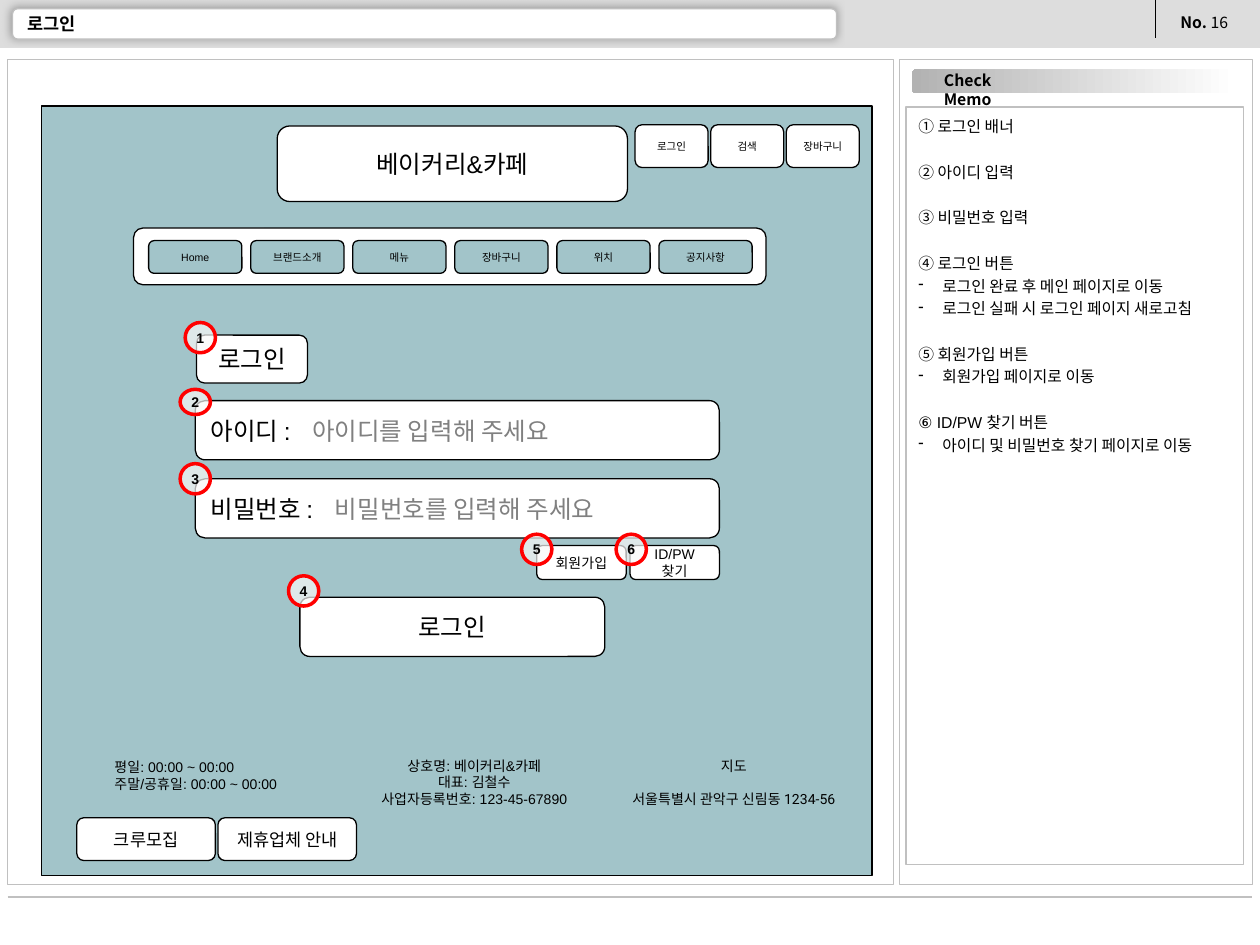
from dataclasses import dataclass

from lxml import etree
from pptx import Presentation
from pptx.dml.color import RGBColor
from pptx.enum.shapes import MSO_CONNECTOR, MSO_SHAPE as Form
from pptx.enum.text import MSO_ANCHOR as Anchor, PP_ALIGN as Align
from pptx.oxml.ns import qn
from pptx.util import Inches, Pt


@dataclass(frozen=True)
class Theme:
    white: str = "FFFFFF"
    black: str = "000000"
    header: str = "DDDDDD"
    frame: str = "C0C0C0"
    memo_tab: str = "B2B2B2"
    canvas: str = "A2C4C9"
    hint: str = "808080"
    badge: str = "F8F8F8"
    alert: str = "FF0000"
    shadow: str = "989898"
    tiny: int = 6
    small: int = 8
    note: int = 9
    body: int = 10
    large: int = 14
    font: str = "Arial"
    label_font: str = "Noto Sans CJK KR"
    address_font: str = "Roboto"


THEME = Theme()


@dataclass(frozen=True)
class Box:
    left: float
    top: float
    width: float
    height: float

    def inside(self, left, top, width, height):
        return Box(self.left + left, self.top + top, width, height)

    def lengths(self):
        return [Inches(v) for v in (self.left, self.top, self.width, self.height)]


def assign(target, values):
    for name, value in values.items():
        setattr(target, name, value)


def add_span(para, text, size, color=THEME.black, font=THEME.font, bold=False):
    span = para.add_run()
    span.text = text
    assign(span.font, {"size": Pt(size), "name": font, "bold": bold})
    span.font.color.rgb = RGBColor.from_string(color)


def write(shape, lines, size, align=Align.LEFT, anchor=Anchor.TOP, insets=(0.1, 0.05), **style):
    frame = shape.text_frame
    across, down = (Inches(v) for v in insets)
    assign(frame, {"word_wrap": True, "vertical_anchor": anchor,
                   "margin_left": across, "margin_right": across,
                   "margin_top": down, "margin_bottom": down})
    for index, line in enumerate(lines):
        para = frame.add_paragraph() if index else frame.paragraphs[0]
        para.alignment = align
        add_span(para, line, size, **style)
    return frame


def add_text(page, box, lines, size, **style):
    return write(page.shapes.add_textbox(*box.lengths()), lines, size, **style)


def add_panel(page, box, fill=THEME.white, line=THEME.black, form=Form.RECTANGLE, weight=0.75):
    shape = page.shapes.add_shape(form, *box.lengths())
    shape.shadow.inherit = False
    shape.fill.solid()
    shape.fill.fore_color.rgb = RGBColor.from_string(fill)
    if line:
        shape.line.color.rgb = RGBColor.from_string(line)
        shape.line.width = Pt(weight)
    else:
        shape.line.fill.background()
    return shape


def add_button(page, box, text, size, fill=THEME.white, align=Align.CENTER):
    shape = add_panel(page, box, fill, form=Form.ROUNDED_RECTANGLE)
    write(shape, [text], size, align, Anchor.MIDDLE, (0.1, 0.1))


def add_rule(page, start, end, color, weight):
    points = [Inches(v) for v in (*start, *end)]
    rule = page.shapes.add_connector(MSO_CONNECTOR.STRAIGHT, *points)
    rule.line.color.rgb = RGBColor.from_string(color)
    rule.line.width = Pt(weight)
    etree.SubElement(rule._element.spPr, qn("a:effectLst"))


def add_outer_shadow(shape):
    effects = shape._element.spPr.find(qn("a:effectLst"))
    shadow = etree.SubElement(effects, qn("a:outerShdw"), blurRad=str(Pt(5)),
                              dist=str(Pt(1.4)), dir=str(225 * 60000), rotWithShape="0")
    etree.SubElement(shadow, qn("a:srgbClr"), val=THEME.shadow)


def add_bullet(para, mark, indent):
    props = para._p.get_or_add_pPr()
    props.set("marL", str(Inches(indent)))
    props.set("indent", str(-Inches(indent)))
    etree.SubElement(props, qn("a:buChar"), char=mark)


def build_header(page, box):
    add_panel(page, box, THEME.header, None)
    add_rule(page, (box.left + 9.17, box.top), (box.left + 9.17, box.top + 0.3), THEME.black, 0.75)
    number = add_text(page, box.inside(9.27, 0.05, 0.62, 0.25), ["No. "], THEME.note,
                      font=THEME.label_font, bold=True)
    add_span(number.paragraphs[0], "16", THEME.note, font=THEME.label_font)
    bar = add_panel(page, box.inside(0.1, 0.07, 6.54, 0.24), line=THEME.frame,
                    form=Form.ROUNDED_RECTANGLE)
    add_outer_shadow(bar)
    add_text(page, box.inside(0.12, 0.1, 5.42, 0.18), ["로그인"], THEME.body,
             anchor=Anchor.MIDDLE, bold=True)


def build_memo(page, box):
    add_panel(page, box, line=THEME.frame)
    # Gradient heading
    tab = add_panel(page, box.inside(0.1, 0.08, 2.57, 0.19), line=None, form=Form.ROUNDED_RECTANGLE)
    tab.fill.gradient()
    tab.fill.gradient_angle = 180
    for stop, color in zip(tab.fill.gradient_stops, (THEME.white, THEME.memo_tab)):
        stop.color.rgb = RGBColor.from_string(color)
    add_text(page, box.inside(0.06, 0.04, 0.96, 0.25), ["Check Memo"], THEME.note,
             align=Align.CENTER, font=THEME.label_font, bold=True)
    # Numbered notes, each with its details
    notes = [
        "① 로그인 배너", "② 아이디 입력", "③ 비밀번호 입력",
        "④ 로그인 버튼", "- 로그인 완료 후 메인 페이지로 이동", "- 로그인 실패 시 로그인 페이지 새로고침",
        "⑤ 회원가입 버튼", "- 회원가입 페이지로 이동",
        "⑥ ID/PW 찾기 버튼", "- 아이디 및 비밀번호 찾기 페이지로 이동",
    ]
    panel = add_panel(page, box.inside(0.05, 0.38, 2.68, 6.01), line=THEME.frame)
    frame = write(panel, [note.removeprefix("- ") for note in notes], THEME.note)
    for index, (note, para) in enumerate(zip(notes, frame.paragraphs)):
        para.line_spacing = 1.2
        if note.startswith("- "):
            add_bullet(para, "-", 0.19)
        elif index:
            para.space_before = Pt(13)


def build_site_top(page, box):
    add_button(page, box.inside(1.87, 0.16, 2.78, 0.6), "베이커리&카페", THEME.large)
    for index, name in enumerate(("로그인", "검색", "장바구니")):
        add_button(page, box.inside(4.71 + 0.6 * index, 0.15, 0.58, 0.34), name, THEME.tiny)
    # Navigation bar
    bar = box.inside(0.73, 0.97, 5.02, 0.45)
    add_panel(page, bar, form=Form.ROUNDED_RECTANGLE)
    for index, name in enumerate(("Home", "브랜드소개", "메뉴", "장바구니", "위치", "공지사항")):
        add_button(page, bar.inside(0.12 + 0.81 * index, 0.1, 0.74, 0.26), name, THEME.tiny,
                   THEME.canvas)


def build_login_form(page, box):
    add_button(page, box.inside(0.13, 0.1, 0.88, 0.38), "로그인", THEME.large)
    # Input fields with hints
    fields = (("아이디 :", "아이디를 입력해 주세요", 0.62, 0.95),
              ("비밀번호 :", "비밀번호를 입력해 주세요", 1.24, 1.13))
    for label, hint, top, hint_left in fields:
        add_button(page, box.inside(0.12, top, 4.16, 0.47), label, THEME.large, align=Align.LEFT)
        add_text(page, box.inside(hint_left, top + 0.07, 2.93, 0.34), [hint], THEME.large,
                 color=THEME.hint)
    # Account buttons
    for left, name in ((2.83, "회원가입"), (3.57, "ID/PW 찾기")):
        add_button(page, box.inside(left, 1.77, 0.71, 0.27), name, THEME.small)
    add_button(page, box.inside(0.95, 2.18, 2.42, 0.47), "로그인", THEME.large)
    # Numbered badges
    badges = ((0.04, 0, 0.24), (0, 0.53, 0.2), (0, 1.12, 0.24),
              (0.86, 2.01, 0.24), (2.71, 1.68, 0.24), (3.46, 1.68, 0.24))
    for number, (left, top, height) in enumerate(badges, 1):
        badge = add_panel(page, box.inside(left, top, 0.24, height), THEME.badge, THEME.alert,
                          Form.OVAL, 2)
        color = badge._element.spPr.find(qn("a:solidFill"))[0]
        etree.SubElement(color, qn("a:alpha"), val="70000")
        write(badge, [str(number)], THEME.small, Align.CENTER, Anchor.MIDDLE, (0.04, 0.05), bold=True)


def build_site_footer(page, box):
    add_text(page, box.inside(0.2, 0.01, 1.73, 0.37),
             ["평일: 00:00 ~ 00:00", "주말/공휴일: 00:00 ~ 00:00"], THEME.small)
    add_text(page, box.inside(2.19, 0, 1.93, 0.5),
             ["상호명: 베이커리&카페", "대표: 김철수", "사업자등록번호: 123-45-67890"],
             THEME.small, align=Align.CENTER)
    place = add_text(page, box.inside(4.25, 0, 1.93, 0.5), ["지도"], THEME.small, align=Align.CENTER)
    address = place.add_paragraph()
    assign(address, {"alignment": Align.CENTER, "space_before": Pt(9.5)})
    add_span(address, "서울특별시 관악구 신림동 1234-56", THEME.small, font=THEME.address_font)
    for index, name in enumerate(("크루모집", "제휴업체 안내")):
        add_button(page, box.inside(1.12 * index, 0.53, 1.1, 0.34), name, THEME.body)


def build_screen(page, box):
    add_panel(page, box, line=THEME.frame)
    canvas = box.inside(0.27, 0.37, 6.59, 6.11)
    add_panel(page, canvas, THEME.canvas)
    build_site_top(page, canvas)
    build_login_form(page, canvas.inside(1.1, 1.72, 4.28, 2.65))
    build_site_footer(page, canvas.inside(0.28, 5.12, 6.18, 0.87))


def main():
    deck = Presentation()
    assign(deck, {"slide_width": Inches(10), "slide_height": Inches(7.5)})
    page = deck.slides.add_slide(deck.slide_layouts[6])
    build_header(page, Box(0, 0, 10, 0.38))
    add_rule(page, (0.06, 7.12), (9.94, 7.12), THEME.frame, 1.5)
    build_memo(page, Box(7.14, 0.47, 2.8, 6.55))
    build_screen(page, Box(0.06, 0.47, 7.03, 6.55))
    deck.save("out.pptx")


if __name__ == "__main__":
    main()
